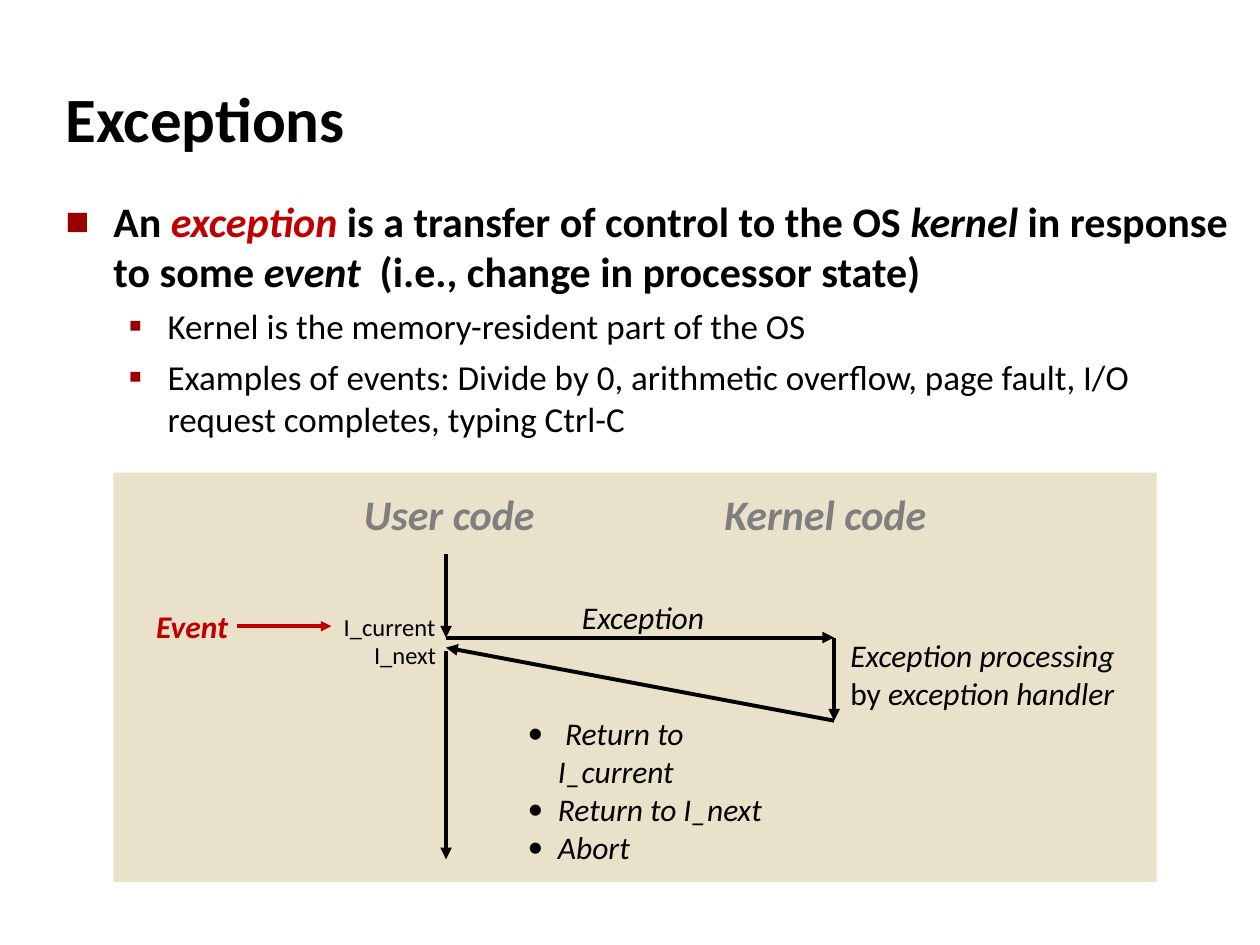
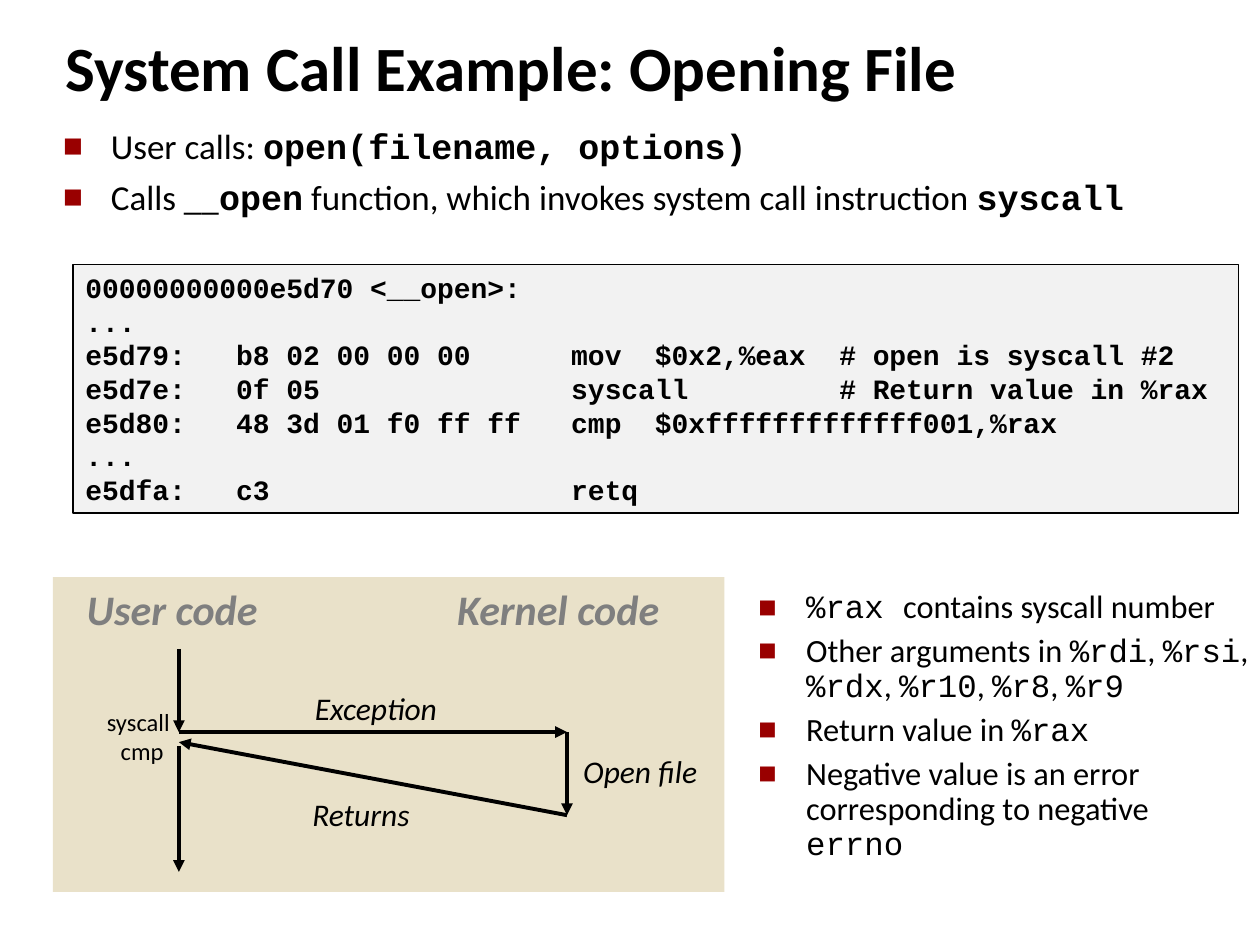
from lxml import etree
from pptx import Presentation
from pptx.dml.color import RGBColor
from pptx.enum.shapes import MSO_CONNECTOR, MSO_SHAPE
from pptx.enum.text import MSO_ANCHOR, MSO_AUTO_SIZE, PP_ALIGN
from pptx.oxml.ns import qn
from pptx.util import Inches, Pt

RECTANGLE, STRAIGHT = MSO_SHAPE.RECTANGLE, MSO_CONNECTOR.STRAIGHT
TOP, MIDDLE = MSO_ANCHOR.TOP, MSO_ANCHOR.MIDDLE
LEFT, NO_FIT = PP_ALIGN.LEFT, MSO_AUTO_SIZE.NONE

BLACK = RGBColor(0x00, 0x00, 0x00)
GRAY = RGBColor(0x7F, 0x7F, 0x7F)
RED = RGBColor(0xC0, 0x00, 0x00)
BULLET_RED = RGBColor(0x99, 0x00, 0x00)
SAND = RGBColor(0xE9, 0xE1, 0xC9)
CODE_FILL = RGBColor(0xF2, 0xF2, 0xF2)
SANS, MONO = "Calibri", "Courier New"

# Bullet styles: left margin, hanging indent, character, size %, colour
SQUARE = (0.38, 0.38, "■", 60, BULLET_RED)
SMALL_SQUARE = (0.81, 0.31, "▪", 110, BULLET_RED)
DOT = (0.24, 0.24, "•", 100, BLACK)

# Content: a paragraph is a list of (text, marks);
# marks: b bold, i italic, m monospace, r red, g gray
EXCEPTION_POINT = [
    ("An ", "b"), ("exception", "bir"),
    (" is a transfer of control to the OS ", "b"), ("kernel", "bi"),
    (" in response to some ", "b"), ("event", "bi"),
    ("  (i.e., change in processor state)", "b"),
]
EXCEPTION_DETAILS = [
    [("Kernel is the memory-resident part of the OS", "")],
    [("Examples of events: Divide by 0, arithmetic overflow, page fault, "
      "I/O request completes, typing Ctrl-C", "")],
]
HANDLER_NOTE = [
    [("Exception processing", "i")],
    [("by ", ""), ("exception handler", "i")],
]
OUTCOMES = [" Return to I_current", "Return to I_next", "Abort"]
CALL_POINTS = [
    [("User calls: ", ""), ("open(filename, options)", "bm")],
    [("Calls __", ""), ("open", "bm"),
     (" function, which invokes system call instruction ", ""),
     ("syscall", "bm")],
]
CODE_LINES = [
    "00000000000e5d70 <__open>:",
    "...",
    "e5d79:   b8 02 00 00 00      mov  $0x2,%eax  # open is syscall #2",
    "e5d7e:   0f 05               syscall         # Return value in %rax",
    "e5d80:   48 3d 01 f0 ff ff   cmp  $0xfffffffffffff001,%rax",
    "...",
    "e5dfa:   c3                  retq",
]
REGISTER_POINTS = [
    [("%rax ", "m"), ("contains syscall number", "")],
    [("Other arguments in ", ""), ("%rdi", "m"), (", ", ""), ("%rsi", "m"),
     (", ", ""), ("%rdx", "m"), (", ", ""), ("%r10", "m"), (", ", ""),
     ("%r8", "m"), (", ", ""), ("%r9", "m")],
    [("Return value in ", ""), ("%rax", "m")],
    [("Negative value is an error corresponding to negative ", ""),
     ("errno", "m")],
]

# Control-flow arrows, relative to the top of the user-code line
KERNEL_X, CALL_Y, RETURN_Y, RESUME_Y, HANDLED_Y = 3.08, 0.66, 0.74, 0.77, 1.32


def place(shape, area):
    shape.left, shape.top, shape.width, shape.height = map(Inches, area)


def add_bullet(para, bullet):
    margin, hanging, character, percent, color = bullet
    properties = para._p.get_or_add_pPr()
    properties.set("marL", str(Inches(margin)))
    properties.set("indent", str(-Inches(hanging)))
    color_node = etree.SubElement(properties, qn("a:buClr"))
    etree.SubElement(color_node, qn("a:srgbClr"), val=str(color))
    etree.SubElement(properties, qn("a:buSzPct"), val=str(percent * 1000))
    etree.SubElement(properties, qn("a:buFont"), typeface=SANS)
    etree.SubElement(properties, qn("a:buChar"), char=character)


def write(frame, paragraphs, size, bullets=None, before=0, spacing=None,
          wrap=True, anchor=TOP):
    frame.word_wrap = wrap
    frame.auto_size = NO_FIT
    frame.vertical_anchor = anchor
    frame.margin_left = frame.margin_right = Inches(0.1)
    frame.margin_top = frame.margin_bottom = Inches(0.05)
    for number, spans in enumerate(paragraphs):
        para = frame.add_paragraph() if number else frame.paragraphs[0]
        para.alignment = LEFT
        para.space_before = Pt(before)
        if spacing:
            para.line_spacing = spacing
        if bullets:
            add_bullet(para, bullets[number])
        for text, marks in spans:
            span = para.add_run()
            span.text = text
            font = span.font
            font.name = MONO if "m" in marks else SANS
            font.size = Pt(size)
            font.bold, font.italic = "b" in marks, "i" in marks
            font.color.rgb = (RED if "r" in marks else
                              GRAY if "g" in marks else BLACK)


def add_page(deck, title, title_area, body_area, anchor):
    page = deck.slides.add_slide(deck.slide_layouts[1])
    place(page.shapes.title, title_area)
    write(page.shapes.title.text_frame, [[(title, "b")]], 36, anchor=anchor)
    body = page.placeholders[1]
    place(body, body_area)
    return page, body.text_frame


def add_text(page, area, paragraphs, size, **options):
    box = page.shapes.add_textbox(*map(Inches, area))
    write(box.text_frame, paragraphs, size, **options)


def add_label(page, x, y, width, text, marks="i", size=18):
    height = {14: 0.34, 18: 0.4, 24: 0.5}[size]
    add_text(page, (x, y, width, height), [[(text, marks)]], size, wrap=False)


def add_panel(page, area, fill, line=None):
    panel = page.shapes.add_shape(RECTANGLE, *map(Inches, area))
    panel.shadow.inherit = False
    panel.fill.solid()
    panel.fill.fore_color.rgb = fill
    if line is None:
        panel.line.fill.background()
    else:
        panel.line.color.rgb = line
        panel.line.width = Pt(1)
    return panel


def add_arrow(page, start, end, color=BLACK, width=2.25):
    arrow = page.shapes.add_connector(STRAIGHT, *map(Inches, start + end))
    arrow.line.color.rgb = color
    arrow.line.width = Pt(width)
    etree.SubElement(arrow.line._get_or_add_ln(), qn("a:tailEnd"),
                     type="triangle")
    etree.SubElement(arrow._element.spPr, qn("a:effectLst"))


def add_flow(page, x, y, user_label_x, label_y, length):
    """Draw the headings and the user -> kernel -> user arrows."""
    kernel_x = x + KERNEL_X
    add_label(page, user_label_x, y - 0.57, 1.56, "User code", "big", 24)
    add_label(page, kernel_x - 0.97, y - 0.57, 1.81, "Kernel code", "big", 24)
    arrows = [
        ((x, y), (x, y + CALL_Y)),
        ((x, y + CALL_Y), (kernel_x, y + CALL_Y)),
        ((kernel_x, y + CALL_Y), (kernel_x, y + HANDLED_Y)),
        ((kernel_x, y + HANDLED_Y), (x, y + RETURN_Y)),
        ((x, y + RESUME_Y), (x, y + length)),
    ]
    for start, end in arrows:
        add_arrow(page, start, end)
    add_label(page, x + 0.98, label_y, 1.18, "Exception")


def build_exceptions(deck):
    page, body = add_page(deck, "Exceptions", (0.42, 0.58, 3.67, 0.63),
                          (0.42, 1.5, 9.5, 2.08), TOP)
    write(body, [EXCEPTION_POINT] + EXCEPTION_DETAILS, 20,
          [SQUARE, SMALL_SQUARE, SMALL_SQUARE], before=5)
    body.paragraphs[0].space_before = Pt(6)
    for span in body.paragraphs[0].runs:
        span.font.size = Pt(24)
    for para in body.paragraphs[1:]:
        para.level = 1

    # Control-flow diagram
    add_panel(page, (0.9, 3.75, 8.28, 3.25), SAND)
    add_flow(page, 3.54, 4.4, 2.79, 4.7, 2.42)
    add_text(page, (6.65, 5, 2.35, 1), HANDLER_NOTE, 18)
    add_text(page, (4.09, 5.62, 2.27, 1), [[(text, "i")] for text in OUTCOMES],
             18, bullets=[DOT] * len(OUTCOMES))

    # Event and the instructions it falls between
    add_label(page, 1.14, 4.77, 0.78, "Event", "bir")
    add_arrow(page, (1.88, 4.97), (2.63, 4.97), RED, 2)
    add_label(page, 2.63, 4.81, 0.93, "I_current", "", 14)
    add_label(page, 2.87, 5.03, 0.69, "I_next", "", 14)


def build_system_call(deck):
    page, body = add_page(deck, "System Call Example: Opening File",
                          (0.42, 0.21, 9.41, 0.63), (0.4, 0.94, 9.19, 1.14),
                          MIDDLE)
    write(body, CALL_POINTS, 20, [SQUARE] * len(CALL_POINTS), before=5)

    # Disassembly
    code = add_panel(page, (0.58, 2.1, 9.25, 1.97), CODE_FILL, BLACK)
    write(code.text_frame, [[(line, "bm")] for line in CODE_LINES], 16)

    # Control-flow diagram
    add_panel(page, (0.42, 4.58, 5.33, 2.5), SAND)
    add_flow(page, 1.42, 5.15, 0.59, 5.42, 1.77)
    add_label(page, 4.53, 5.92, 1.12, "Open file")
    add_label(page, 2.38, 6.26, 0.98, "Returns")
    add_label(page, 0.75, 5.56, 0.7, "syscall", "", 14)
    add_label(page, 0.86, 5.79, 0.54, "cmp", "", 14)

    # Register conventions
    add_text(page, (5.92, 4.64, 4.1, 2.78), REGISTER_POINTS, 18.5,
             bullets=[SQUARE] * len(REGISTER_POINTS), before=5, spacing=0.9)


def main():
    deck = Presentation()
    deck.slide_width, deck.slide_height = Inches(10), Inches(7.5)
    build_exceptions(deck)
    build_system_call(deck)
    deck.save("out.pptx")


if __name__ == "__main__":
    main()
